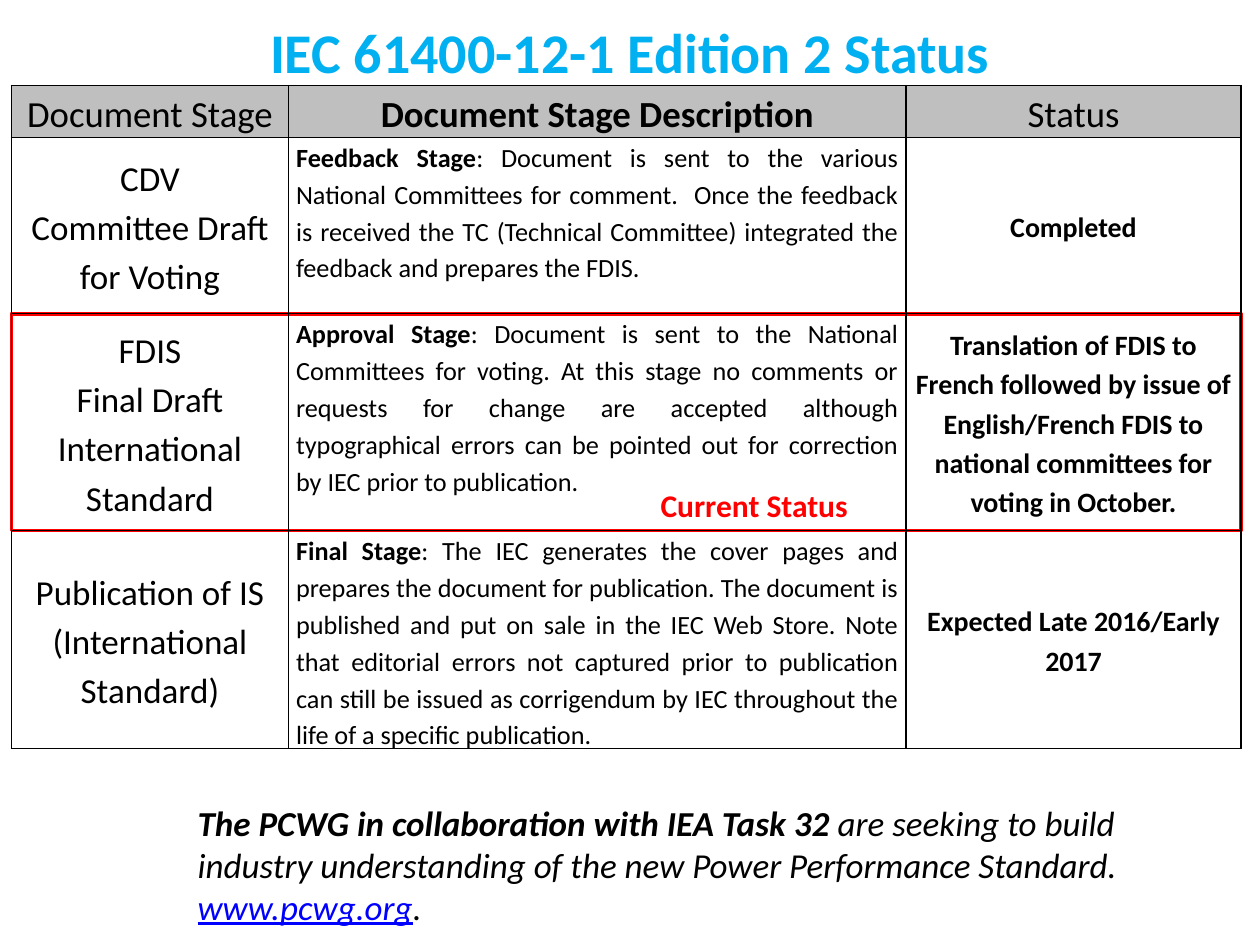
from lxml import etree
from pptx import Presentation
from pptx.dml.color import RGBColor
from pptx.enum import shapes, text
from pptx.oxml.ns import qn
from pptx.util import Inches, Pt

BLACK, RED, BLUE, SKY, GREY = "000000", "FF0000", "0000FF", "00B0F0", "BFBFBF"
CENTER, JUSTIFY = text.PP_ALIGN.CENTER, text.PP_ALIGN.JUSTIFY
TITLE = "IEC 61400-12-1 Edition 2 Status"
HEADERS = ["Document Stage", "Document Stage Description", "Status"]
STAGES = [
    (["CDV", "Committee Draft for Voting"],
     "Feedback Stage",
     ": Document is sent to the various National Committees for comment.  Once the "
     "feedback is received the TC (Technical Committee) integrated the feedback and "
     "prepares the FDIS.",
     "Completed"),
    (["FDIS", "Final Draft International Standard"],
     "Approval Stage",
     ": Document is sent to the National Committees for voting. At this stage no "
     "comments or requests for change are accepted although typographical errors can "
     "be pointed out for correction by IEC prior to publication.",
     "Translation of FDIS to French followed by issue of English/French FDIS to "
     "national committees for voting in October."),
    (["Publication of IS", "(International Standard)"],
     "Final Stage",
     ": The IEC generates the cover pages and prepares the document for publication. "
     "The document is published and put on sale in the IEC Web Store. Note that "
     "editorial errors not captured prior to publication can still be issued as "
     "corrigendum by IEC throughout the life of a specific publication.",
     "Expected Late 2016/Early 2017"),
]
NOTE = [
    ("The PCWG in collaboration with IEA Task 32", {"bold": True}),
    (" are seeking to build industry understanding of the new Power Performance "
     "Standard. ", {}),
    ("www.pcwg.org", {"color": BLUE, "underline": True}),
    (".", {}),
]
LEFT, TOP = 0.09, 0.68
COLUMNS = [2.2, 4.9, 2.66]
ROWS = [0.41, 1.4, 1.72, 1.73]
CURRENT_ROW = 2


def rgb(value):
    return RGBColor.from_string(value)


def style(font, size=None, color=None, bold=None, italic=None, underline=None):
    font.name = "Calibri"
    if size:
        font.size = Pt(size)
    if color:
        font.color.rgb = rgb(color)
    font.bold, font.italic, font.underline = bold, italic, underline


def write(frame, paragraphs, size, color=BLACK, bold=False, italic=False,
          align=None, spacing=None):
    for index, spans in enumerate(paragraphs):
        para = frame.add_paragraph() if index else frame.paragraphs[0]
        para.alignment, para.line_spacing = align, spacing
        style(para.font, size, color, bold, italic)
        for words, changes in spans:
            span = para.add_run()
            span.text = words
            look = {"size": size, "color": color, "bold": bold, "italic": italic}
            style(span.font, **{**look, **changes})


def add_borders(cell):
    properties = cell._tc.get_or_add_tcPr()
    for side in ("lnL", "lnR", "lnT", "lnB"):
        line = etree.SubElement(properties, qn(f"a:{side}"), w=str(Pt(1)))
        fill = etree.SubElement(line, qn("a:solidFill"))
        etree.SubElement(fill, qn("a:srgbClr"), val=BLACK)


def fill_cell(cell, paragraphs, size, bold=False, align=CENTER, fill=None):
    add_borders(cell)
    if fill:
        cell.fill.solid()
        cell.fill.fore_color.rgb = rgb(fill)
    else:
        cell.fill.background()
    cell.margin_left = cell.margin_right = Inches(0.06)
    cell.margin_top = cell.margin_bottom = 0
    anchor = text.MSO_ANCHOR
    cell.vertical_anchor = anchor.TOP if align == JUSTIFY else anchor.MIDDLE
    write(cell.text_frame, paragraphs, size, bold=bold, align=align, spacing=1.15)


def add_text(slide, place, spans, size, **look):
    box = slide.shapes.add_textbox(*map(Inches, place))
    box.text_frame.word_wrap = True
    write(box.text_frame, [spans], size, **look)


def add_stage_table(slide):
    place = (LEFT, TOP, sum(COLUMNS), sum(ROWS))
    table = slide.shapes.add_table(len(ROWS), len(COLUMNS), *map(Inches, place)).table
    table.first_row = table.horz_banding = False
    for column, width in zip(table.columns, COLUMNS):
        column.width = Inches(width)
    for row, height in zip(table.rows, ROWS):
        row.height = Inches(height)
    for index, header in enumerate(HEADERS):
        fill_cell(table.cell(0, index), [[(header, {})]], 21, bold=index == 1, fill=GREY)
    for row, (names, lead, description, status) in enumerate(STAGES, 1):
        fill_cell(table.cell(row, 0), [[(name, {})] for name in names], 20)
        fill_cell(table.cell(row, 1), [[(lead, {"bold": True}), (description, {})]],
                  15, align=JUSTIFY)
        fill_cell(table.cell(row, 2), [[(status, {})]], 16, bold=True)


def main():
    deck = Presentation()
    deck.slide_width, deck.slide_height = Inches(10), Inches(7.5)
    slide = deck.slides.add_slide(deck.slide_layouts[5])

    title = slide.shapes.title
    title.left, title.top, title.width, title.height = map(Inches, (0, 0.14, 10, 0.53))
    frame = title.text_frame
    frame.auto_size = text.MSO_AUTO_SIZE.NONE
    frame.vertical_anchor = text.MSO_ANCHOR.MIDDLE
    write(frame, [[(TITLE, {})]], 32, SKY, bold=True, align=CENTER)

    place = (LEFT, TOP + sum(ROWS[:CURRENT_ROW]), sum(COLUMNS), ROWS[CURRENT_ROW])
    outline = slide.shapes.add_shape(shapes.MSO_SHAPE.RECTANGLE, *map(Inches, place))
    outline.shadow.inherit = False
    outline.fill.background()
    outline.line.color.rgb = rgb(RED)
    outline.line.width = Pt(2)

    add_text(slide, (1.47, 6.31, 8.45, 0.77), NOTE, 20, italic=True)
    add_stage_table(slide)
    add_text(slide, (4.79, 3.81, 2.39, 0.4), [("Current Status", {})], 18,
             color=RED, bold=True, align=CENTER)
    deck.save("out.pptx")


if __name__ == "__main__":
    main()
